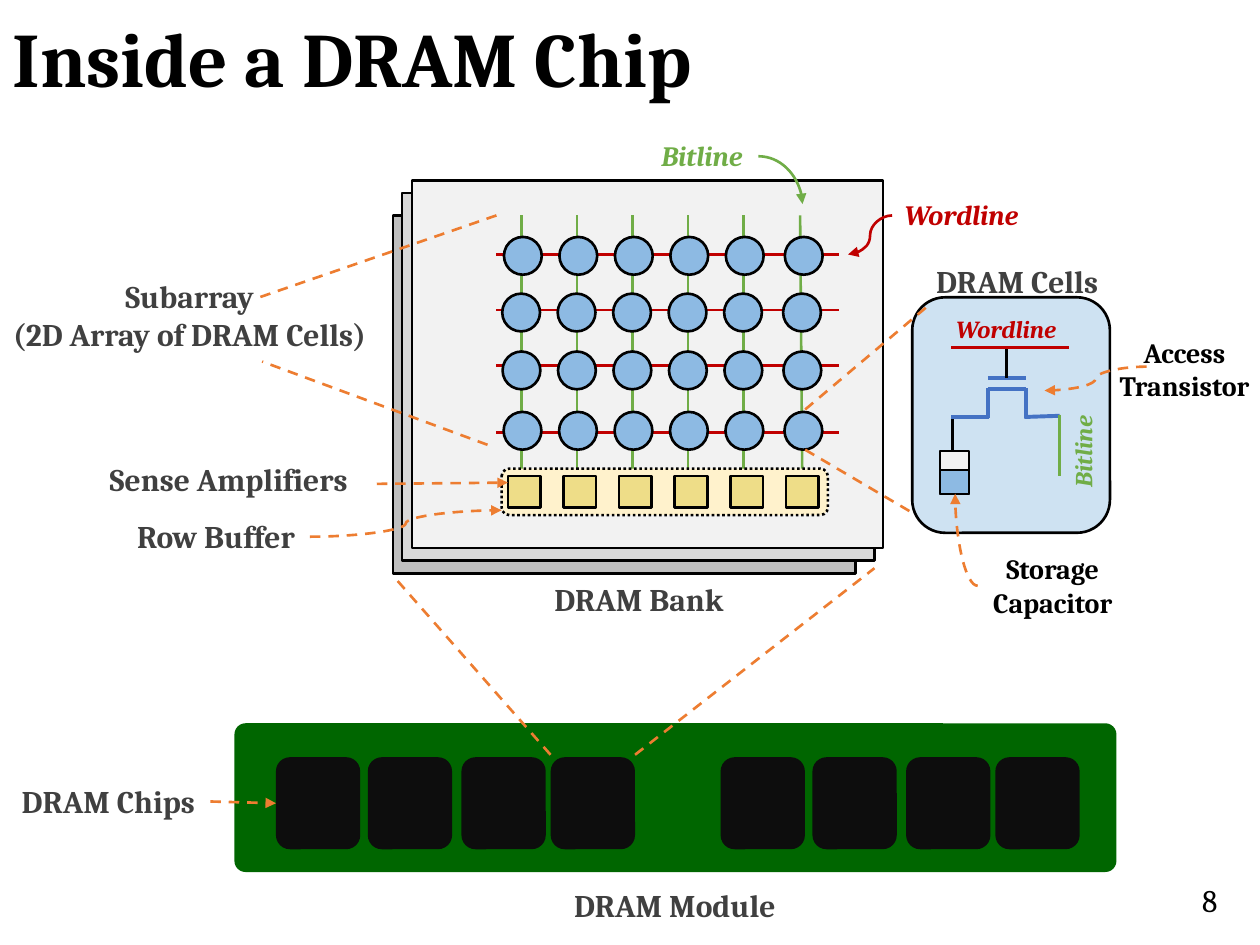
from lxml.etree import SubElement
from pptx import Presentation
from pptx.dml.color import RGBColor
from pptx.enum.dml import MSO_LINE as Dash
from pptx.enum.shapes import MSO_CONNECTOR as Link, MSO_SHAPE as Shape
from pptx.enum.text import MSO_ANCHOR as Anchor, MSO_AUTO_SIZE as AutoSize, PP_ALIGN as Align
from pptx.oxml.ns import qn
from pptx.util import Pt

COLORS = {
    "black": "000000", "gray": "404040", "chip": "0D0D0D", "module": "006600",
    "back": "BFBFBF", "middle": "D9D9D9", "front": "F2F2F2",
    "panel": "CEE2F2", "cell": "8DBAE3", "transistor": "4472C4",
    "buffer": "FFF2CC", "amplifier": "EEDD88",
    "bitline": "70AD47", "wordline": "C00000", "callout": "ED7D31",
}
COLUMN_STEP = 31.7


def color(name):
    return RGBColor.from_string(COLORS[name])


def format_font(font, size, tint, bold=True, italic=False):
    values = {"name": "Cambria", "size": Pt(size), "bold": bold, "italic": italic}
    for attribute, value in values.items():
        setattr(font, attribute, value)
    font.color.rgb = color(tint)


def add_box(slide, kind, left, top, width, height, fill, outline="black", dash=None):
    box = slide.shapes.add_shape(kind, Pt(left), Pt(top), Pt(width), Pt(height))
    box.shadow.inherit = False
    box.fill.solid()
    box.fill.fore_color.rgb = color(fill)
    if outline:
        box.line.color.rgb = color(outline)
        box.line.width = Pt(1.5)
        box.line.dash_style = dash
    else:
        box.line.fill.background()
    return box


def add_line(slide, start, end, tint, width=1.5, kind=Link.STRAIGHT, dash=None, arrow=False):
    line = slide.shapes.add_connector(kind, *(Pt(value) for value in (*start, *end)))
    line.line.color.rgb = color(tint)
    line.line.width = Pt(width)
    line.line.dash_style = dash
    if arrow:
        SubElement(line.line._ln, qn("a:tailEnd"), type="triangle")
    SubElement(line._element.spPr, qn("a:effectLst"))
    return line


def add_callout(slide, start, end, **options):
    return add_line(slide, start, end, "callout", dash=Dash.DASH, **options)


def bend_once(curve):
    """Make a curved connector a quarter turn instead of an S."""
    curve._element.spPr.find(qn("a:prstGeom")).set("prst", "curvedConnector2")


def add_label(slide, lines, left, top, width, height, size=18, tint="gray",
              align=Align.CENTER, wrap=False, **style):
    label = slide.shapes.add_textbox(Pt(left), Pt(top), Pt(width), Pt(height))
    frame = label.text_frame
    frame.word_wrap = wrap
    frame.auto_size = AutoSize.SHAPE_TO_FIT_TEXT
    frame.text = "\n".join(lines)
    for paragraph in frame.paragraphs:
        paragraph.alignment = align
        format_font(paragraph.font, size, tint, **style)
    return label


def add_title(slide, text):
    title = slide.shapes.title
    title.left, title.top, title.width, title.height = Pt(0), Pt(6.5), Pt(708), Pt(58.3)
    frame = title.text_frame
    frame.text = text
    frame.auto_size = AutoSize.NONE
    frame.vertical_anchor = Anchor.MIDDLE
    paragraph = frame.paragraphs[0]
    paragraph.alignment = Align.LEFT
    paragraph.line_spacing = 0.9
    format_font(paragraph.font, 44, "black")


def add_module(slide):
    board = add_box(slide, Shape.ROUNDED_RECTANGLE, 134, 413.3, 504, 85, "module", None)
    board.adjustments[0] = 0.075
    chips = [add_box(slide, Shape.ROUNDED_RECTANGLE, bank_left + offset, 432.7, 48.2, 52.6,
                     "chip", None)
             for bank_left in (157.7, 411.8) for offset in (0, 52.5, 106, 157)]
    name = add_label(slide, ["DRAM Chips"], 3.6, 443.5, 116.6, 29)
    pointer = add_callout(slide, (120.2, 458), (157.7, 459), arrow=True)
    pointer.begin_connect(name, 3)
    pointer.end_connect(chips[0], 1)
    add_label(slide, ["DRAM Module"], 319, 502.6, 133.2, 29)


def add_bank(slide):
    for left, top, width, height, fill in (
            (224.6, 123.1, 264.2, 204.5, "back"),
            (229.7, 110.2, 270, 210.2, "middle"),
            (235.4, 103, 269.3, 210.2, "front")):
        add_box(slide, Shape.RECTANGLE, left, top, width, height, fill)
    add_label(slide, ["DRAM Bank"], 308.2, 327.6, 113.8, 29)
    add_callout(slide, (314.6, 431.3), (224.6, 329))
    add_callout(slide, (362.9, 431.3), (499.7, 324.7))


def add_subarray(slide):
    for column in range(5):
        x = 298 + COLUMN_STEP * column
        add_line(slide, (x, 123.1), (x, 290), "bitline")
    add_line(slide, (457.2, 123.1), (458.6, 290), "bitline")
    for y in (145.4, 177.1, 208.8, 247):
        add_line(slide, (283.5, y), (479.5, y), "wordline")
    for top, left in ((135.4, 288), (167.8, 287), (200.9, 287.2), (235.4, 287.8)):
        for column in range(6):
            gap = 2 if column == 5 else 0
            add_box(slide, Shape.OVAL, left + COLUMN_STEP * column + gap, top, 21.6, 21.6, "cell")
    add_box(slide, Shape.ROUNDED_RECTANGLE, 286.6, 267.8, 186.5, 26.6, "buffer",
            dash=Dash.ROUND_DOT)
    for column in range(6):
        add_box(slide, Shape.RECTANGLE, 290.2 + 31.8 * column, 272, 18.7, 18, "amplifier")


def add_subarray_labels(slide):
    add_callout(slide, (283.7, 123.1), (148.3, 169.9))
    add_callout(slide, (278.6, 254.2), (149.8, 206.6))
    add_label(slide, ["Subarray", "(2D Array of DRAM Cells)"], -3.6, 154.8, 223.9, 51, wrap=True)
    add_label(slide, ["Sense Amplifiers"], 53.3, 259.2, 154.8, 29)
    add_callout(slide, (215.3, 276.5), (290.2, 275.8), arrow=True)
    add_label(slide, ["Row Buffer"], 69.8, 291.6, 107.3, 29)
    add_callout(slide, (177.1, 306.7), (286.6, 291.6), kind=Link.CURVE, arrow=True)

    line_name = {"size": 16, "align": Align.LEFT, "italic": True}
    curve = {"kind": Link.CURVE, "arrow": True}
    add_label(slide, ["Bitline"], 370.8, 75.6, 62.6, 26.6, tint="bitline", **line_name)
    bend_once(add_line(slide, (433.4, 89.3), (458.6, 116.6), "bitline", **curve))
    add_label(slide, ["Wordline"], 509.8, 109.4, 81.4, 26.6, tint="wordline", **line_name)
    add_line(slide, (509.8, 123.1), (484.6, 145.4), "wordline", **curve)


def add_cell_detail(slide):
    add_box(slide, Shape.ROUNDED_RECTANGLE, 521.3, 169.9, 113, 134.6, "panel")
    add_label(slide, ["DRAM Cells"], 527.8, 146.2, 110.2, 29, align=Align.LEFT)
    add_line(slide, (544.3, 237.6), (544.3, 260), "black")
    add_box(slide, Shape.RECTANGLE, 537.1, 257.8, 16.6, 24.5, "front")
    add_box(slide, Shape.RECTANGLE, 537.1, 268.6, 16.6, 13.7, "cell")
    for start, end in (
            ((543.6, 238.3), (565.2, 238.3)), ((564.5, 222.5), (586.1, 222.5)),
            ((564.5, 239), (564.5, 221.8)), ((586.1, 239), (586.1, 221.8)),
            ((585.4, 238.3), (605.5, 237.6)), ((564.5, 216), (586.1, 216))):
        add_line(slide, start, end, "transistor", 2.25)
    add_line(slide, (575.3, 216), (575.3, 198.7), "black")
    add_line(slide, (543.6, 198.7), (610.6, 198.7), "wordline")
    add_line(slide, (605.5, 236.9), (605.5, 272.2), "bitline")
    line_name = {"size": 14, "align": Align.LEFT, "italic": True}
    add_label(slide, ["Wordline"], 539.3, 175.7, 72.7, 24.5, tint="wordline", **line_name)
    bitline = add_label(slide, ["Bitline"], 590.4, 244.8, 56.9, 24.5, tint="bitline", **line_name)
    bitline.rotation = 270


def add_cell_labels(slide):
    add_callout(slide, (460.1, 234), (529.2, 175.7))
    add_callout(slide, (460.1, 257), (521.3, 293))
    part_name = {"size": 16, "tint": "black"}
    add_label(slide, ["Access", "Transistor"], 630.7, 187.9, 92.2, 46, **part_name)
    add_callout(slide, (655.2, 209.5), (596.9, 223.2), kind=Link.CURVE, arrow=True)
    add_label(slide, ["Storage", "Capacitor"], 558.7, 311.8, 85.7, 46, **part_name)
    bend_once(add_callout(slide, (558.7, 334.8), (545.8, 282.2), kind=Link.CURVE, arrow=True))


def main():
    deck = Presentation()
    deck.slide_width, deck.slide_height = Pt(720), Pt(540)
    slide = deck.slides.add_slide(deck.slide_layouts[5])
    add_title(slide, "Inside a DRAM Chip")
    add_module(slide)
    add_bank(slide)
    add_subarray(slide)
    add_subarray_labels(slide)
    add_cell_detail(slide)
    add_cell_labels(slide)
    add_label(slide, ["8"], 432.7, 499.7, 270, 29, tint="black", align=Align.RIGHT,
              wrap=True, bold=False)
    deck.save("out.pptx")


if __name__ == "__main__":
    main()
